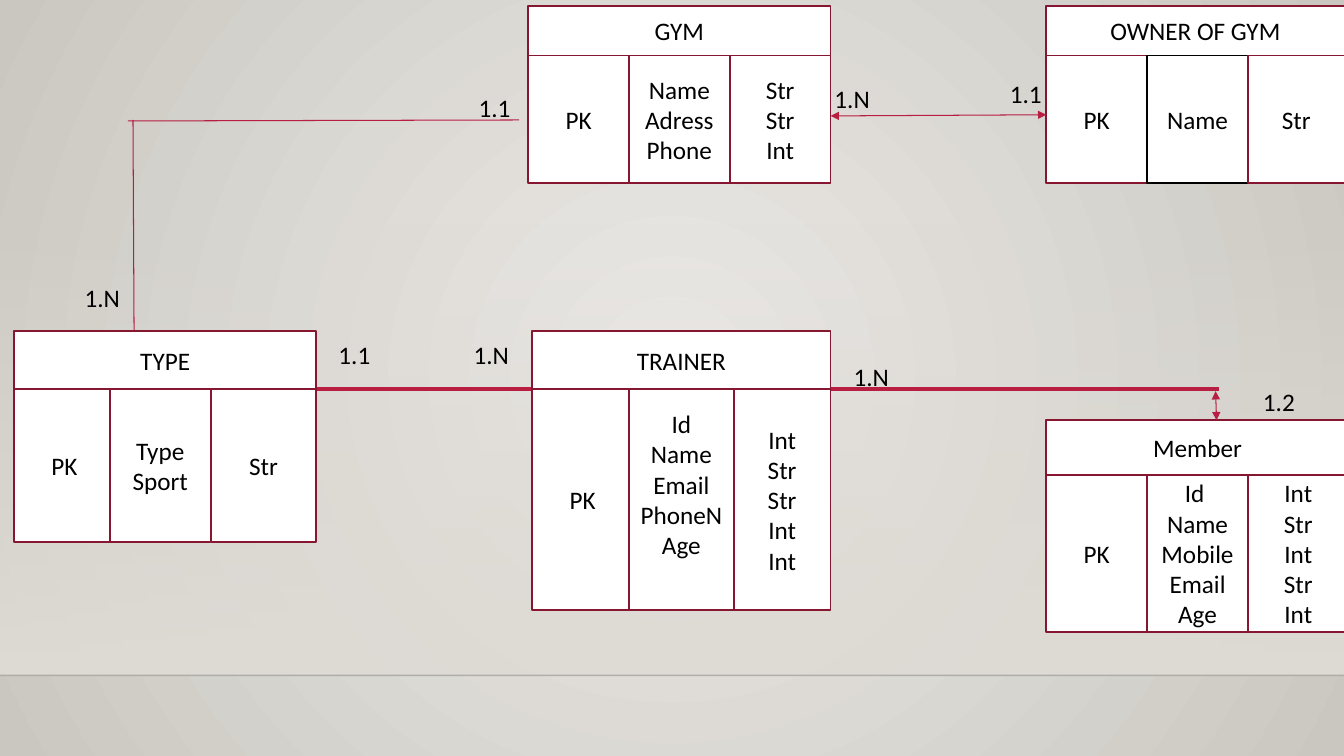
from lxml.etree import SubElement
from pptx import Presentation
from pptx.dml.color import RGBColor
from pptx.enum.shapes import MSO_CONNECTOR, MSO_SHAPE
from pptx.enum.text import MSO_ANCHOR, PP_ALIGN
from pptx.oxml.ns import qn
from pptx.util import Pt

COLORS = {
    "page_center": "ECEAE7", "page_edge": "CAC7C1", "floor": "DFDBD5",
    "floor_line": "000001", "link": "B71E42", "border": "871631",
    "cell": "FFFFFF", "text": "000000",
}
WIDTH, HEIGHT = 960, 540
FLOOR_TOP, FLOOR_BOTTOM = 159, 482.4
COLUMN = 72
LINE_HEIGHT = 22


class Diagram:
    font_name = "Calibri"
    font_size = 18

    def __init__(self, slide):
        self.slide = slide

    def color(self, name):
        return RGBColor.from_string(COLORS[name])

    def gradient(self, fill, names):
        fill.gradient()
        for stop, name in zip(fill.gradient_stops, names):
            stop.color.rgb = self.color(name)

    def fade(self, shape, percent):
        color_element = next(shape.element.iter(qn("a:srgbClr")))
        SubElement(color_element, qn("a:alpha"), val=str(percent * 1000))

    def background(self):
        fill = self.slide.background.fill
        self.gradient(fill, ("page_center", "page_edge"))
        linear = next(self.slide.element.iter(qn("a:lin")))
        gradient = linear.getparent()
        gradient.remove(linear)
        circle = SubElement(gradient, qn("a:path"), {"path": "circle"})
        SubElement(circle, qn("a:fillToRect"),
                   {side: "50000" for side in "ltrb"})

    def rectangle(self, left, top, width, height):
        box = self.slide.shapes.add_shape(
            MSO_SHAPE.RECTANGLE, Pt(left), Pt(top), Pt(width), Pt(height))
        box.shadow.inherit = False
        return box

    def floor(self):
        panel = self.rectangle(0, FLOOR_TOP, WIDTH, FLOOR_BOTTOM - FLOOR_TOP)
        panel.line.fill.background()
        self.gradient(panel.fill, ("floor", "floor"))
        panel.fill.gradient_angle = 270
        self.fade(panel, 0)
        edge = self.line((0, FLOOR_BOTTOM), (WIDTH, FLOOR_BOTTOM), 1, "floor_line")
        self.fade(edge, 20)

    def line(self, start, end, weight=0.75, color="link", arrows=False):
        link = self.slide.shapes.add_connector(
            MSO_CONNECTOR.STRAIGHT, *map(Pt, start + end))
        link.line.width = Pt(weight)
        link.line.color.rgb = self.color(color)
        if arrows:
            outline = next(link.element.iter(qn("a:ln")))
            for tag in ("a:headEnd", "a:tailEnd"):
                SubElement(outline, qn(tag), type="triangle")
        SubElement(link.element.spPr, qn("a:effectLst"))
        return link

    def fill_text(self, frame, lines, align):
        frame.word_wrap = True
        frame.text = "\n".join(lines)
        for paragraph in frame.paragraphs:
            paragraph.alignment = align
            paragraph.font.name = self.font_name
            paragraph.font.size = Pt(self.font_size)
            paragraph.font.color.rgb = self.color("text")

    def cell(self, left, top, width, height, lines, border="border"):
        box = self.rectangle(left, top, width, height)
        box.fill.solid()
        box.fill.fore_color.rgb = self.color("cell")
        box.line.color.rgb = self.color(border)
        box.line.width = Pt(1.25)
        box.text_frame.vertical_anchor = MSO_ANCHOR.MIDDLE
        self.fill_text(box.text_frame, lines, PP_ALIGN.CENTER)
        return box

    def entity(self, title, left, top, width, header, body, fields, types,
               starts=(COLUMN, 2 * COLUMN), field_border="border"):
        self.cell(left, top, width, header, [title])
        field_start, type_start = starts
        row = top + header
        self.cell(left, row, COLUMN, body, ["PK"])
        field_cell = self.cell(left + field_start, row, type_start - field_start,
                               body, fields, field_border)
        self.cell(left + type_start, row, width - type_start, body, types)
        return field_cell

    def label(self, left, top, width, text):
        box = self.slide.shapes.add_textbox(Pt(left), Pt(top), Pt(width), Pt(29))
        self.fill_text(box.text_frame, [text], PP_ALIGN.LEFT)


presentation = Presentation()
presentation.slide_width, presentation.slide_height = Pt(WIDTH), Pt(HEIGHT)
diagram = Diagram(presentation.slides.add_slide(presentation.slide_layouts[6]))

diagram.background()
diagram.floor()
diagram.line((190, 278), (870.5, 278), 2.5)
diagram.line((91.4, 86.4), (370.8, 85.7))
diagram.line((95, 85.7), (95.8, 242))

diagram.entity("GYM", 377.3, 4.3, 216, 35.3, 91.4,
               ["Name", "Adress", "Phone"], ["Str", "Str", "Int"])
diagram.entity("OWNER OF GYM", 747.4, 4.3, 213, 35.3, 91.4,
               ["Name"], ["Str"], field_border="text")
diagram.entity("TYPE", 10, 236.2, 216, 41.8, 109.4,
               ["Type Sport"], ["Str"], starts=(68.5, 140.5))
trainer_fields = diagram.entity(
    "TRAINER", 380.2, 236.2, 213, 41.8, 157.7,
    ["Id", "Name", "Email", "PhoneN", "Age"],
    ["Int", "Str", "Str", "Int", "Int"], starts=(69, 144))
trainer_fields.text_frame.margin_bottom = Pt(3.6 + LINE_HEIGHT)
diagram.entity("Member", 747.4, 300.2, 216, 38.9, 112.3,
               ["Id\u00a0", "Name", "Mobile", "Email", "Age"],
               ["Int", "Str", "Int", "Str", "Int"])

diagram.line((593.3, 82.8), (747.4, 82), arrows=True)
diagram.line((868.3, 279.4), (869, 300.2), arrows=True)

for left, top, width, cardinality in (
    (714.2, 52.6, 54, "1.1"),
    (589, 56.2, 52.6, "1.N"),
    (334.8, 62.6, 40.3, "1.1"),
    (53.3, 198, 46, "1.N"),
    (234.7, 239, 47.5, "1.1"),
    (331.2, 239, 44, "1.N"),
    (602.6, 254.2, 49, "1.N"),
    (895, 272.2, 44.6, "1.2"),
):
    diagram.label(left, top, width, cardinality)

presentation.save("out.pptx")
